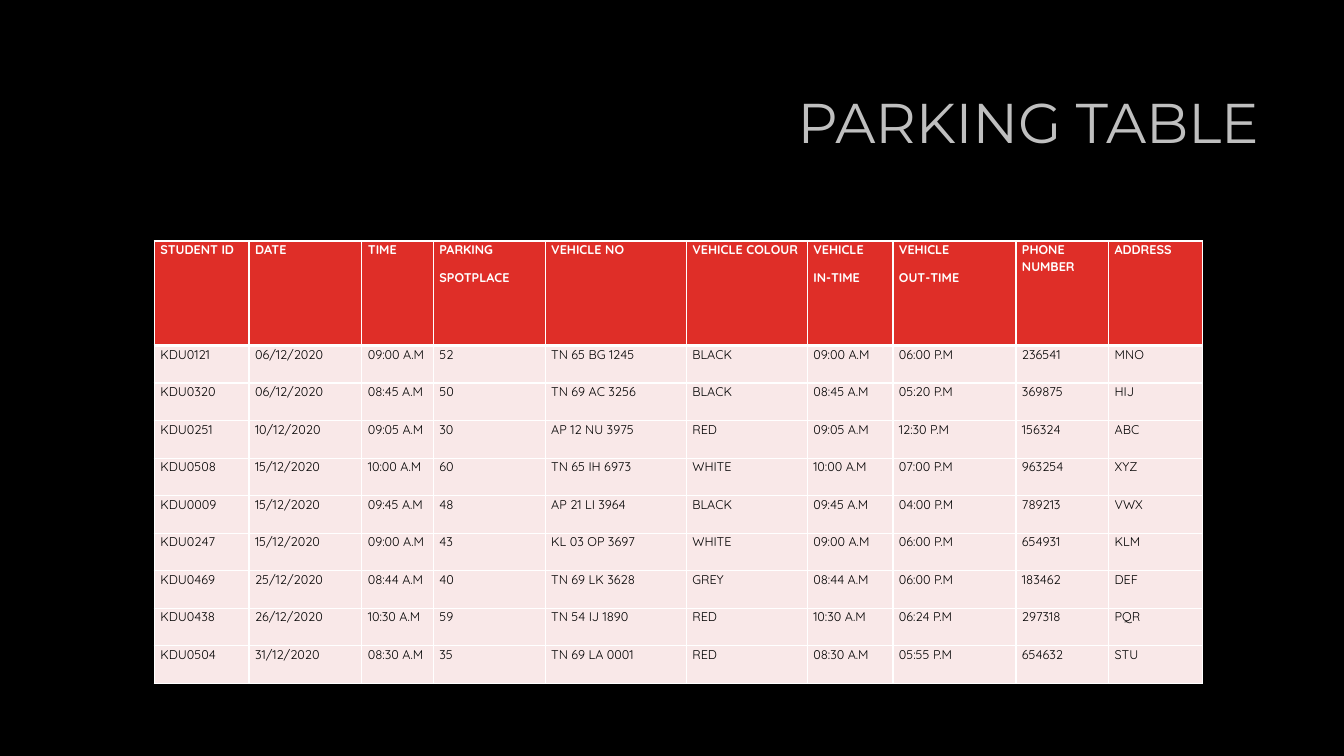
from lxml import etree
from pptx import Presentation
from pptx.dml.color import RGBColor
from pptx.enum.text import MSO_ANCHOR, PP_ALIGN
from pptx.oxml.ns import qn
from pptx.util import Pt

MIDDLE = MSO_ANCHOR.MIDDLE
RIGHT = PP_ALIGN.RIGHT

BLACK = RGBColor(0x00, 0x00, 0x00)
WHITE = RGBColor(0xFF, 0xFF, 0xFF)
SILVER = RGBColor(0xBF, 0xBF, 0xBF)
RED = RGBColor(0xDF, 0x2E, 0x28)
PINK = RGBColor(0xF9, 0xE8, 0xE8)

TITLE_BOX = (228.2, 60.5, 678.2, 101.5)
TABLE_BOX = (110.2, 172.1, 748.8, 316.2)
COLUMN_WIDTHS = (67.7, 80.6, 51.1, 79.9, 100.8, 86.4, 61.2, 87.9, 66.2, 67)
HEADER_HEIGHT = 74.7

HEADERS = (
    "STUDENT ID", "DATE", "TIME", "PARKING\nSPOTPLACE", "VEHICLE NO",
    "VEHICLE COLOUR", "VEHICLE\nIN-TIME", "VEHICLE\nOUT-TIME",
    "PHONE NUMBER", "ADDRESS",
)
# The arrival time fills both the TIME and the VEHICLE IN-TIME columns.
PARKINGS = (
    ("KDU0121", "06/12/2020", "09:00 A.M", "52", "TN 65 BG 1245", "BLACK", "06:00 P.M", "236541", "MNO"),
    ("KDU0320", "06/12/2020", "08:45 A.M", "50", "TN 69 AC 3256", "BLACK", "05:20 P.M", "369875", "HIJ"),
    ("KDU0251", "10/12/2020", "09:05 A.M", "30", "AP 12 NU 3975", "RED", "12:30 P.M", "156324", "ABC"),
    ("KDU0508", "15/12/2020", "10:00 A.M", "60", "TN 65 IH 6973", "WHITE", "07:00 P.M", "963254", "XYZ"),
    ("KDU0009", "15/12/2020", "09:45 A.M", "48", "AP 21 LI 3964", "BLACK", "04:00 P.M", "789213", "VWX"),
    ("KDU0247", "15/12/2020", "09:00 A.M", "43", "KL 03 OP 3697", "WHITE", "06:00 P.M", "654931", "KLM"),
    ("KDU0469", "25/12/2020", "08:44 A.M", "40", "TN 69 LK 3628", "GREY", "06:00 P.M", "183462", "DEF"),
    ("KDU0438", "26/12/2020", "10:30 A.M", "59", "TN 54 IJ 1890", "RED", "06:24 P.M", "297318", "PQR"),
    ("KDU0504", "31/12/2020", "08:30 A.M", "35", "TN 69 LA 0001", "RED", "05:55 P.M", "654632", "STU"),
)


def solid_line(tag, width, color):
    line = etree.Element(qn(tag), w=str(Pt(width)))
    fill = etree.SubElement(line, qn("a:solidFill"))
    etree.SubElement(fill, qn("a:srgbClr"), val=str(color))
    return line


def style_font(font, name, size, color, bold=False):
    font.name = name
    font.size = Pt(size)
    font.bold = bold
    font.color.rgb = color


def add_title(page, box, text):
    title = page.shapes.title
    title.left, title.top, title.width, title.height = map(Pt, box)
    frame = title.text_frame
    frame.word_wrap = True
    frame.vertical_anchor = MIDDLE
    frame.margin_left = frame.margin_right = Pt(7.2)
    frame.margin_top = Pt(3.6)
    frame.margin_bottom = Pt(47.5)
    para = frame.paragraphs[0]
    para.alignment = RIGHT
    para.line_spacing = 0.9
    span = para.add_run()
    span.text = text
    style_font(para.font, "Montserrat", 40, SILVER)
    span._r.get_or_add_rPr().insert(0, solid_line("a:ln", 0.75, WHITE))


def fill_cell(cell, text, is_header, top_width, bottom_width):
    cell.margin_left = cell.margin_right = Pt(4.3)
    cell.margin_top = cell.margin_bottom = 0
    properties = cell._tc.get_or_add_tcPr()
    for side, width in zip("LRTB", (1, 1, top_width, bottom_width)):
        properties.append(solid_line(f"a:ln{side}", width, WHITE))
    cell.fill.solid()
    cell.fill.fore_color.rgb = RED if is_header else PINK
    cell.text = text
    for para in cell.text_frame.paragraphs:
        para.line_spacing = 1.07
        para.space_after = Pt(8)
        style_font(para.font, "Quicksand", 9, WHITE if is_header else BLACK, is_header)


def add_parking_table(page, box):
    rows = [HEADERS] + [record[:6] + record[2:3] + record[6:] for record in PARKINGS]
    table = page.shapes.add_table(len(rows), len(HEADERS), *map(Pt, box)).table
    table.horz_banding = False
    for column, width in zip(table.columns, COLUMN_WIDTHS):
        column.width = Pt(width)
    record_height = (box[3] - HEADER_HEIGHT) / len(PARKINGS)
    for index, values in enumerate(rows):
        is_header = index == 0
        table.rows[index].height = Pt(HEADER_HEIGHT if is_header else record_height)
        top_width = 3 if index == 1 else 1
        bottom_width = 3 if is_header else 1
        for column, text in enumerate(values):
            fill_cell(table.cell(index, column), text, is_header, top_width, bottom_width)


def main():
    deck = Presentation()
    deck.slide_width, deck.slide_height = Pt(960), Pt(540)
    page = deck.slides.add_slide(deck.slide_layouts.get_by_name("Title Only"))
    page.background.fill.solid()
    page.background.fill.fore_color.rgb = BLACK
    add_title(page, TITLE_BOX, "PARKING TABLE")
    add_parking_table(page, TABLE_BOX)
    deck.save("out.pptx")


if __name__ == "__main__":
    main()
